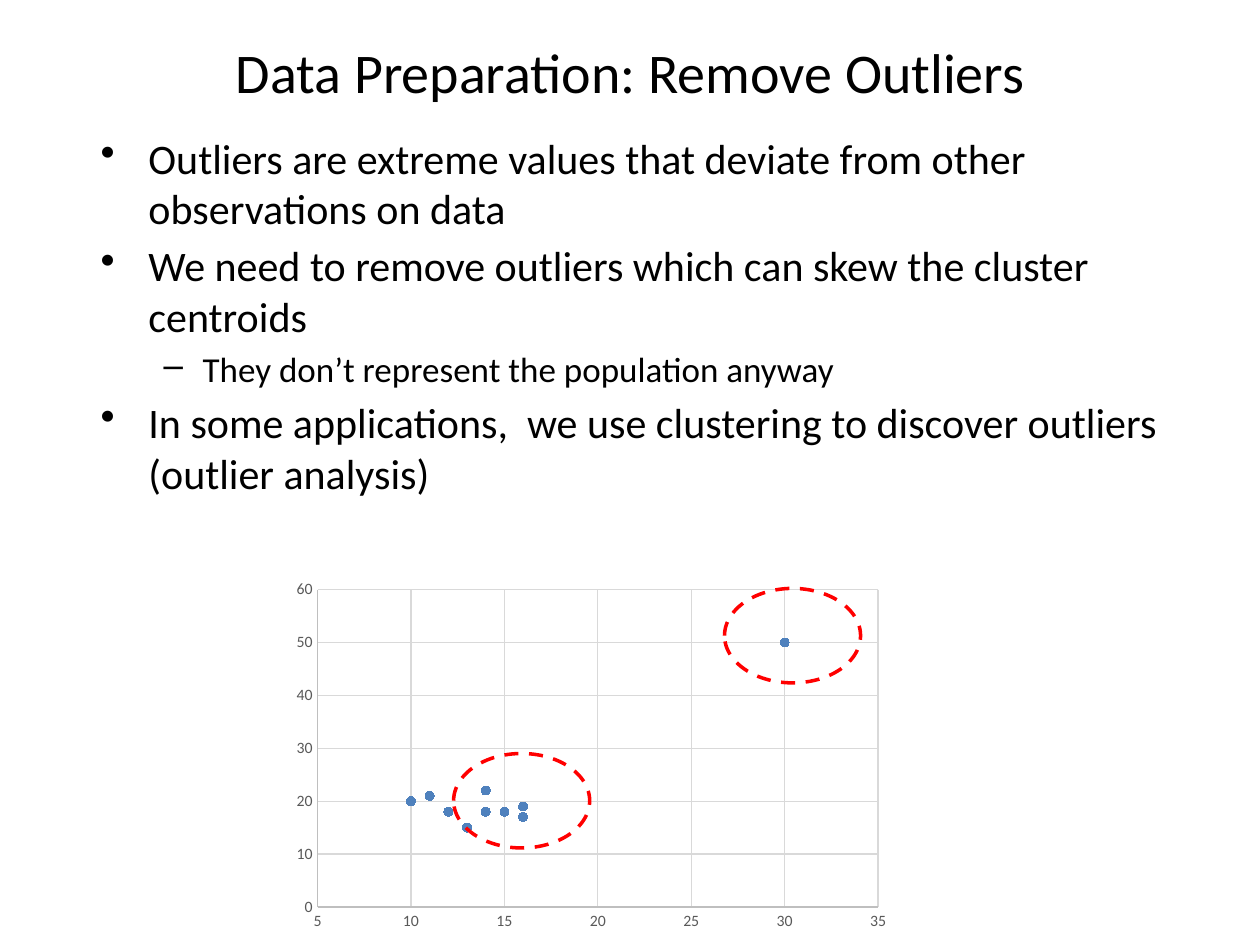
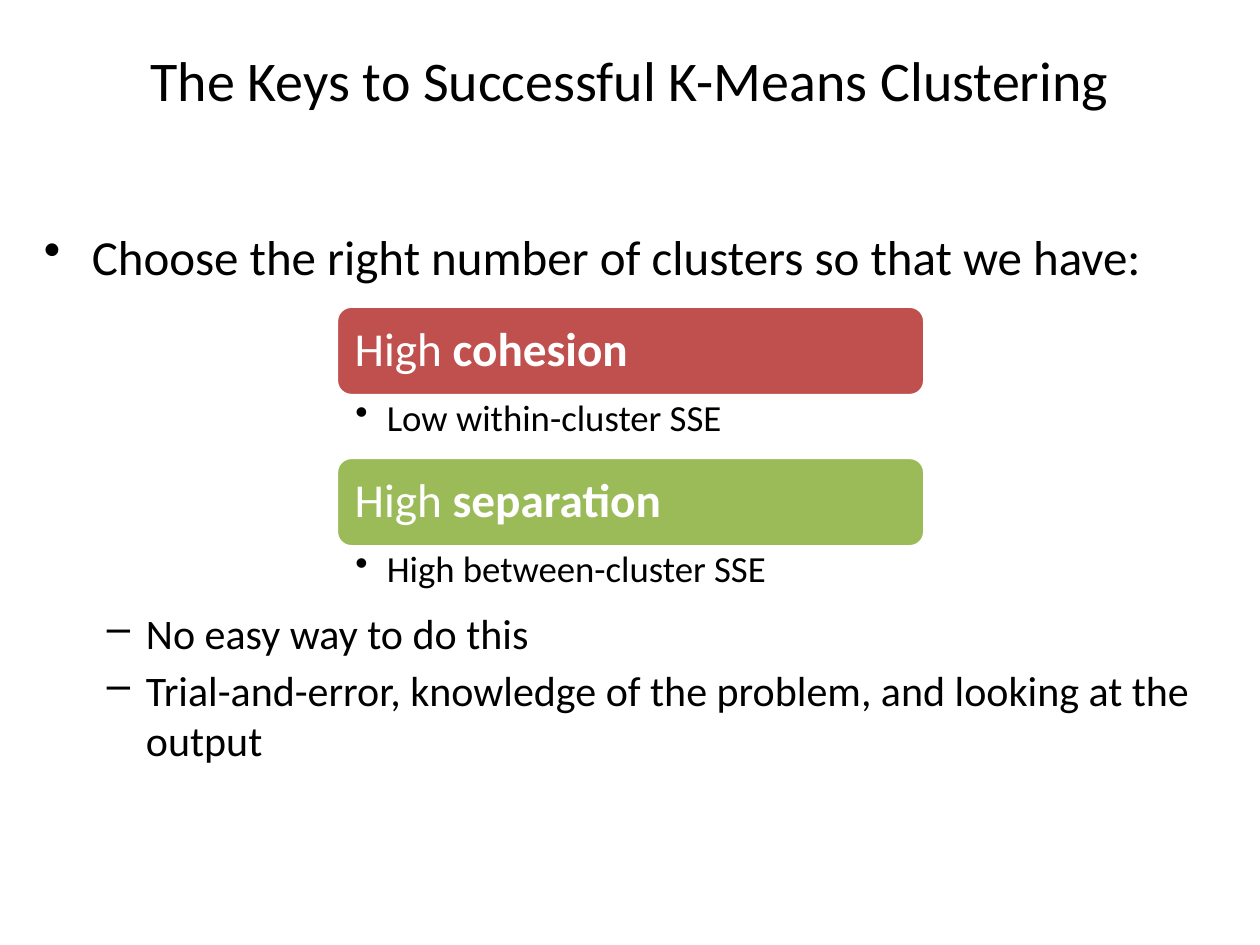
"""Build two slides on outliers and on the keys to successful k-means clustering."""
import lxml.etree
import pptx
import pptx.chart.data
import pptx.dml.color
import pptx.enum.chart
import pptx.enum.dml
import pptx.enum.shapes
import pptx.enum.text
import pptx.oxml
import pptx.util

Inches = pptx.util.Inches
Pt = pptx.util.Pt
FONT = "Calibri"
BLACK, WHITE, RED, BLUE = "000000", "FFFFFF", "FF0000", "4F81BD"
GRID, AXIS, LABEL = "D9D9D9", "BFBFBF", "595959"
LEFT = pptx.enum.text.PP_ALIGN.LEFT
CENTER = pptx.enum.text.PP_ALIGN.CENTER
MIDDLE = pptx.enum.text.MSO_ANCHOR.MIDDLE
BULLET = {"bullet": "•", "indent": 0.38, "hang": 0.38}
DASH = {"bullet": "–", "indent": 0.81, "hang": 0.31}


def rgb(value):
    return pptx.dml.color.RGBColor.from_string(value)


def add_text(frame, text, size=24, color=BLACK, align=LEFT, bold_end="",
             bullet=None, indent=0, hang=0, before=4, line=None):
    frame.word_wrap = True
    first = not frame.text
    para = frame.paragraphs[0] if first else frame.add_paragraph()
    para.alignment = align
    para.space_before = Pt(0 if first else before)
    if line:
        para.line_spacing = line
    if bullet:
        properties = para._p.get_or_add_pPr()
        properties.set("marL", str(Inches(indent)))
        properties.set("indent", str(Inches(-hang)))
        mark = lxml.etree.SubElement(properties, pptx.oxml.ns.qn("a:buChar"))
        mark.set("char", bullet)
    for words, bold in ((text, False), (bold_end, True)):
        if words:
            span = para.add_run()
            span.text = words
            span.font.name, span.font.size, span.font.bold = FONT, Pt(size), bold
            span.font.color.rgb = rgb(color)


deck = pptx.Presentation()
deck.slide_width, deck.slide_height = Inches(10), Inches(7.5)
title_only = deck.slide_layouts[5]

pages = []
for heading, left, top, width in (
    ("Data Preparation: Remove Outliers", 0.26, -0.06, 9.49),
    ("The Keys to Successful K-Means Clustering", 0.5, 0, 9),
):
    page = deck.slides.add_slide(title_only)
    title = page.shapes.title
    title.left, title.top = Inches(left), Inches(top)
    title.width, title.height = Inches(width), Inches(1.25)
    title.text_frame.vertical_anchor = MIDDLE
    add_text(title.text_frame, heading, size=32, align=CENTER)
    pages.append(page)
outlier_page, keys_page = pages

body = outlier_page.shapes.add_textbox(Inches(0.7), Inches(1), Inches(8.6), Inches(3.4))
for text, style, size in (
    ("Outliers are extreme values that deviate from other observations on data", BULLET, 24),
    ("We need to remove outliers which can skew the cluster centroids", BULLET, 24),
    ("They don’t represent the population anyway", DASH, 20),
    ("In some applications,  we use clustering to discover outliers (outlier analysis)", BULLET, 24),
):
    add_text(body.text_frame, text, size=size, **style)

points = pptx.chart.data.XyChartData()
observations = points.add_series("Series 1")
for x, y in ((10, 20), (15, 18), (11, 21), (16, 17), (14, 22),
             (13, 15), (16, 19), (12, 18), (14, 18), (30, 50)):
    observations.add_data_point(x, y)
chart = outlier_page.shapes.add_chart(
    pptx.enum.chart.XL_CHART_TYPE.XY_SCATTER,
    Inches(2.17), Inches(4.5), Inches(5), Inches(3), points).chart
chart.has_title = chart.has_legend = False
chart.font.name, chart.font.size = FONT, Pt(9)
chart.font.color.rgb = rgb(LABEL)
chart.plots[0].vary_by_categories = False

series = chart.plots[0].series[0]
series.smooth = False
series.format.line.fill.background()
series.marker.style = pptx.enum.chart.XL_MARKER_STYLE.CIRCLE
series.marker.size = 5
series.marker.format.fill.solid()
series.marker.format.fill.fore_color.rgb = rgb(BLUE)
series.marker.format.line.color.rgb = rgb(BLUE)

for axis, low, high, step in ((chart.category_axis, 5, 35, 5), (chart.value_axis, 0, 60, 10)):
    axis.minimum_scale, axis.maximum_scale, axis.major_unit = low, high, step
    axis.major_tick_mark = axis.minor_tick_mark = pptx.enum.chart.XL_TICK_MARK.NONE
    axis.has_major_gridlines = True
    for line, color in ((axis.format.line, AXIS), (axis.major_gridlines.format.line, GRID)):
        line.color.rgb = rgb(color)
        line.width = Pt(0.75)

plot_area = chart._chartSpace.chart.plotArea
for old in plot_area.findall(pptx.oxml.ns.qn("c:layout")):
    plot_area.remove(old)
layout = pptx.oxml.parse_xml(f"<c:layout {pptx.oxml.ns.nsdecls('c')}><c:manualLayout/></c:layout>")
for tag, value in (("layoutTarget", "inner"), ("xMode", "edge"), ("yMode", "edge"),
                   ("x", 0.07), ("y", 0.06), ("w", 0.89), ("h", 0.84)):
    part = lxml.etree.SubElement(layout[0], pptx.oxml.ns.qn(f"c:{tag}"))
    part.set("val", str(value))
plot_area.insert(0, layout)

for left, top in ((5.75, 4.67), (3.6, 5.98)):
    ring = outlier_page.shapes.add_shape(
        pptx.enum.shapes.MSO_SHAPE.OVAL, Inches(left), Inches(top), Inches(1.08), Inches(0.75))
    ring.shadow.inherit = False
    ring.fill.background()
    ring.line.color.rgb = rgb(RED)
    ring.line.width = Pt(2)
    ring.line.dash_style = pptx.enum.dml.MSO_LINE.DASH

intro = keys_page.shapes.add_textbox(Inches(0.25), Inches(1.75), Inches(9.75), Inches(0.65))
add_text(intro.text_frame, "Choose the right number of clusters so that we have:", size=28, **BULLET)

for row, (quality, color, measure) in enumerate((
    ("cohesion", "C0504D", "Low within-cluster SSE"),
    ("separation", "9BBB59", "High between-cluster SSE"),
)):
    top = 2.43 + 1.2 * row
    card = keys_page.shapes.add_shape(
        pptx.enum.shapes.MSO_SHAPE.ROUNDED_RECTANGLE,
        Inches(2.67), Inches(top), Inches(4.67), Inches(0.71))
    card.shadow.inherit = False
    card.fill.solid()
    card.fill.fore_color.rgb = rgb(color)
    card.line.color.rgb = rgb(WHITE)
    card.line.width = Pt(2)
    card.text_frame.margin_left = Inches(0.11)
    card.text_frame.vertical_anchor = MIDDLE
    add_text(card.text_frame, "High ", bold_end=quality, size=27, color=WHITE, line=0.9)

    detail = keys_page.shapes.add_textbox(
        Inches(2.67), Inches(top + 0.7), Inches(4.67), Inches(0.49))
    frame = detail.text_frame
    frame.margin_left, frame.margin_right = Inches(0.15), Inches(0.21)
    frame.margin_top = frame.margin_bottom = Inches(0.04)
    add_text(frame, measure, size=21, bullet="•", indent=0.25, hang=0.25, line=0.9)

advice = keys_page.shapes.add_textbox(Inches(0.25), Inches(4.77), Inches(9.75), Inches(1.5))
for text in ("No easy way to do this",
             "Trial-and-error, knowledge of the problem, and looking at the output"):
    add_text(advice.text_frame, text, **DASH)

deck.save("out.pptx")
